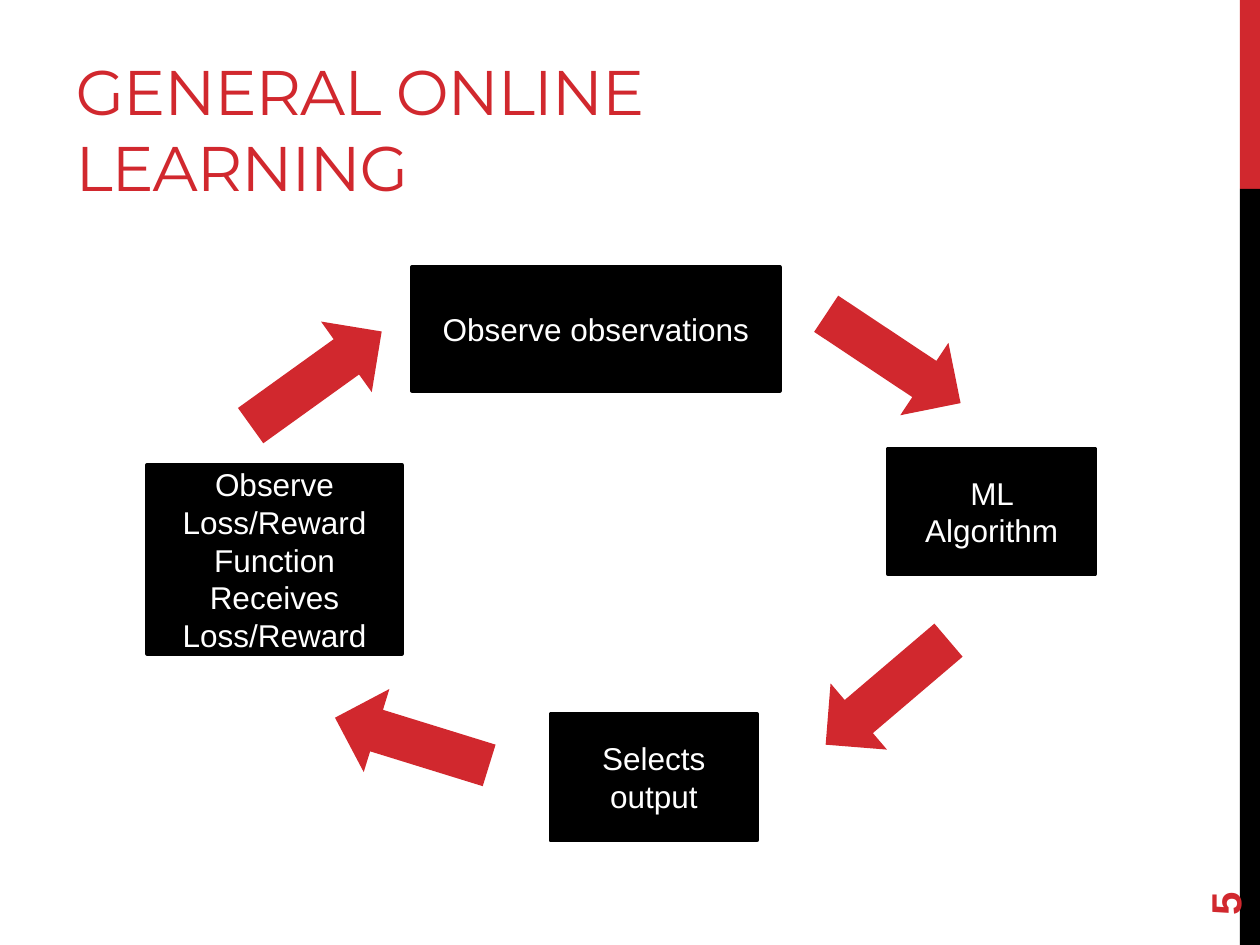
from pptx import Presentation
from pptx.dml.color import RGBColor
from pptx.enum.shapes import MSO_SHAPE as Shape
from pptx.enum.text import MSO_ANCHOR as Anchor, PP_ALIGN as Align
from pptx.util import Pt

RED, BLACK, WHITE = "D1282E", "000000", "FFFFFF"
STEPS = [
    (["Observe observations"], (235.4, 152.6, 210.2, 70.6)),
    (["ML Algorithm"], (507.6, 256.3, 118.1, 72)),
    (["Selects output"], (314.6, 408.2, 118.1, 72)),
    (["Observe Loss/Reward Function", "Receives Loss/Reward"],
     (84.2, 265.7, 145.4, 108)),
]
ARROW_SIZE = (92.2, 49.7)
ARROWS = [(464.4, 180, 33.6), (460.8, 370.8, 139.6),
          (189.4, 398.9, 197.2), (134.6, 191.5, 324.3)]


def color(value):
    """Turn a hex string into a colour."""
    return RGBColor.from_string(value)


def points(box):
    """Turn a box given in points into lengths."""
    return [Pt(length) for length in box]


def write(para, text, size, tone, font="Arial", bold=False, align=Align.LEFT,
          tracking=None):
    """Write formatted text into a paragraph."""
    para.alignment = align
    span = para.add_run()
    span.text = text
    span.font.name = font
    span.font.size = Pt(size)
    span.font.bold = bold
    span.font.color.rgb = color(tone)
    if tracking is not None:
        span.font._element.set("spc", str(round(tracking * 100)))


def add_block(page, kind, box, fill, line=None, rotation=0):
    """Add a flat filled shape, outlined if a line colour is given."""
    block = page.shapes.add_shape(kind, *points(box))
    block.shadow.inherit = False
    block.rotation = rotation
    block.fill.solid()
    block.fill.fore_color.rgb = color(fill)
    if line:
        block.line.color.rgb = color(line)
        block.line.width = Pt(2.25)
    else:
        block.line.fill.background()
    return block


def add_side_band(page, box):
    """Add the edge band, red for its top fifth and black below."""
    left, top, width, height = box
    split = height / 5
    add_block(page, Shape.RECTANGLE, (left, top, width, split), RED)
    add_block(page, Shape.RECTANGLE,
              (left, top + split, width, height - split), BLACK)


def add_title(page, box, text):
    """Place and fill the title placeholder."""
    title = page.shapes.title
    title.left, title.top, title.width, title.height = points(box)
    title.text_frame.vertical_anchor = Anchor.BOTTOM
    title.text_frame.word_wrap = True
    write(title.text_frame.paragraphs[0], text, 36, RED, font="Montserrat",
          tracking=-0.6)


def add_step(page, box, lines):
    """Add one step of the cycle, with a paragraph for each line."""
    frame = add_block(page, Shape.RECTANGLE, box, BLACK, line=BLACK).text_frame
    frame.word_wrap = True
    frame.vertical_anchor = Anchor.MIDDLE
    for index, text in enumerate(lines):
        para = frame.add_paragraph() if index else frame.paragraphs[0]
        write(para, text, 18, WHITE, align=Align.CENTER)


def add_page_number(page, box, number):
    """Add the page number, turned to read upwards."""
    label = page.shapes.add_textbox(*points(box))
    label.rotation = 270
    label.text_frame.word_wrap = True
    label.text_frame.vertical_anchor = Anchor.MIDDLE
    write(label.text_frame.paragraphs[0], number, 24, RED, bold=True)


def main():
    """Build the deck and save it."""
    deck = Presentation()
    deck.slide_width, deck.slide_height = Pt(720), Pt(540)
    page = deck.slides.add_slide(deck.slide_layouts[5])
    add_side_band(page, (708.5, 0, 11.5, 540))
    add_title(page, (36, 12, 456, 108), "GENERAL ONLINE LEARNING")
    for lines, box in STEPS:
        add_step(page, box, lines)
    for left, top, angle in ARROWS:
        add_block(page, Shape.RIGHT_ARROW, (left, top, *ARROW_SIZE), RED,
                  rotation=angle)
    add_page_number(page, (648, 463.7, 103.7, 28.8), "5")
    deck.save("out.pptx")


if __name__ == "__main__":
    main()
